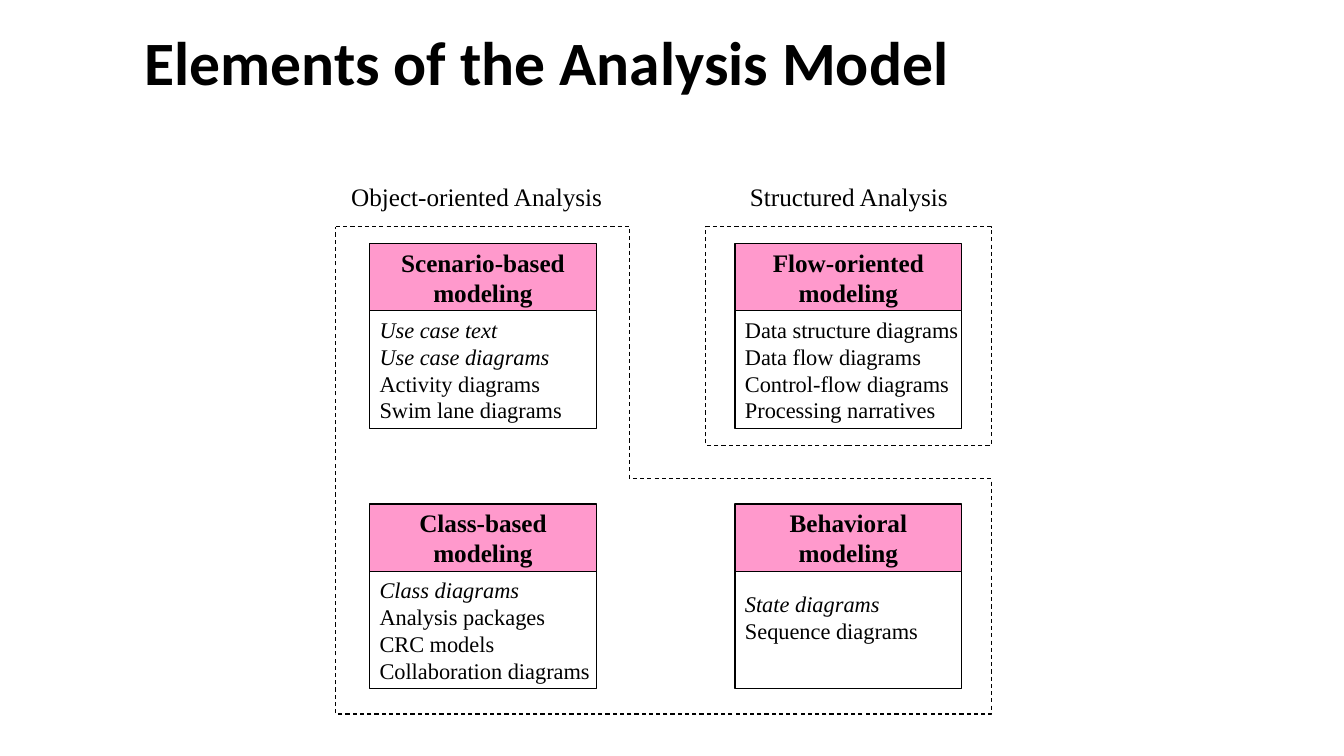
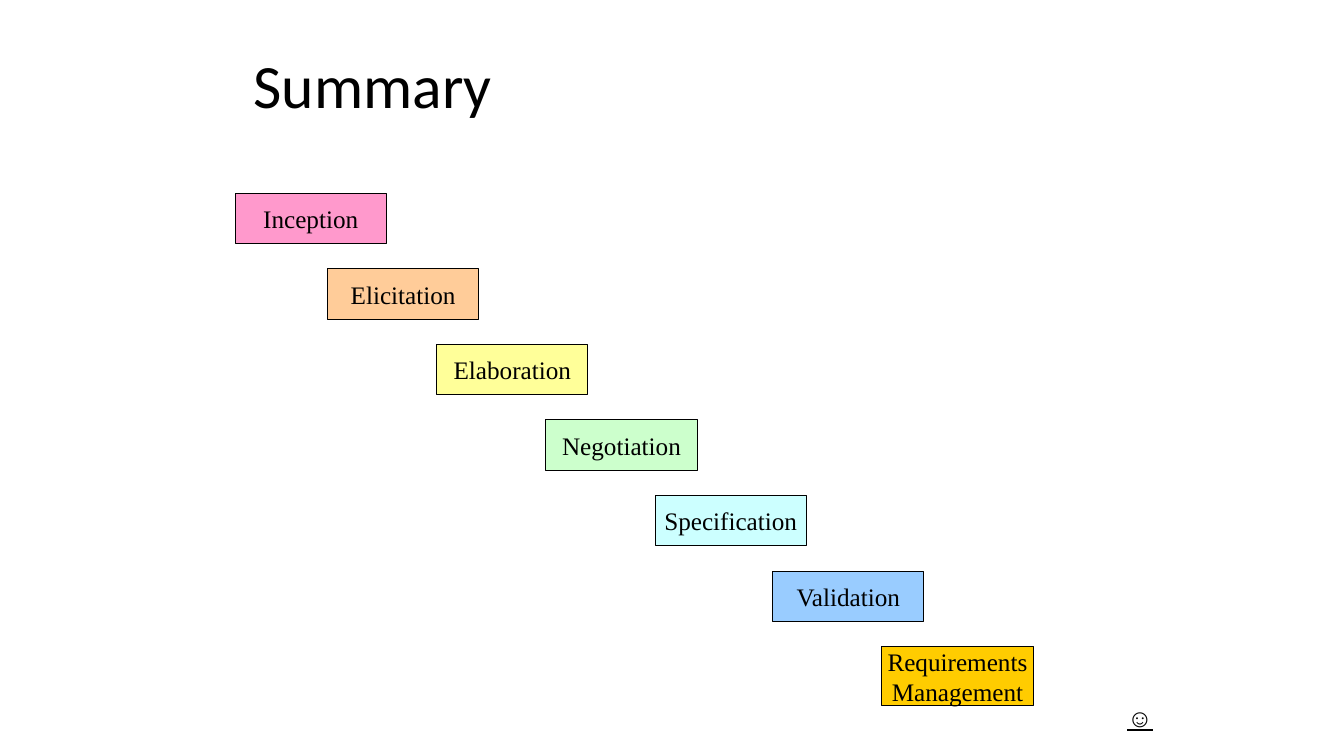
from pptx import Presentation
from pptx.dml.color import RGBColor
from pptx.enum.dml import MSO_LINE
from pptx.enum.shapes import MSO_SHAPE
from pptx.enum.text import MSO_ANCHOR, MSO_AUTO_SIZE, PP_ALIGN
from pptx.util import Pt

PX = 9525  # EMU per px, 96 px to the inch
TITLE_FONT = "Calibri"
TEXT_FONT = "Times New Roman"

BLACK = RGBColor(0x00, 0x00, 0x00)
WHITE = RGBColor(0xFF, 0xFF, 0xFF)
PINK = RGBColor(0xFF, 0x99, 0xCC)
PEACH = RGBColor(0xFF, 0xCC, 0x99)
YELLOW = RGBColor(0xFF, 0xFF, 0x99)
GREEN = RGBColor(0xCC, 0xFF, 0xCC)
CYAN = RGBColor(0xCC, 0xFF, 0xFF)
BLUE = RGBColor(0x99, 0xCC, 0xFF)
GOLD = RGBColor(0xFF, 0xCC, 0x00)

# left, top, heading, italic lines, plain lines
CARDS = [
    (352, 232, "Scenario-based", ["Use case text", "Use case diagrams"],
     ["Activity diagrams", "Swim lane diagrams"]),
    (352, 480, "Class-based", ["Class diagrams"],
     ["Analysis packages", "CRC models", "Collaboration diagrams"]),
    (700, 232, "Flow-oriented", [],
     ["Data structure diagrams", "Data flow diagrams",
      "Control-flow diagrams", "Processing narratives"]),
    (700, 480, "Behavioral", ["State diagrams"], ["Sequence diagrams"]),
]

# left, height, fill, lines
STEPS = [
    (224, 48, PINK, ["Inception"]),
    (312, 48, PEACH, ["Elicitation"]),
    (416, 48, YELLOW, ["Elaboration"]),
    (520, 48, GREEN, ["Negotiation"]),
    (624, 48, CYAN, ["Specification"]),
    (736, 48, BLUE, ["Validation"]),
    (840, 56, GOLD, ["Requirements", "Management"]),
]


def px(*lengths):
    return [n * PX for n in lengths]


def add_titled_slide(prs, text, box, bold=False):
    s = prs.slides.add_slide(prs.slide_layouts.get_by_name("Title Only"))
    title = s.shapes.title
    title.left, title.top, title.width, title.height = px(*box)
    title.text_frame.vertical_anchor = MSO_ANCHOR.MIDDLE
    p = title.text_frame.paragraphs[0]
    p.text = text
    p.alignment = PP_ALIGN.LEFT
    p.line_spacing = 0.9
    style_font(p.font, 44, TITLE_FONT)
    p.font.bold = bold
    return s


def style_font(font, size, name=TEXT_FONT):
    font.name = name
    font.size = Pt(size)
    font.color.rgb = BLACK


def write_lines(tf, lines, size=18, align=PP_ALIGN.CENTER):
    """Fill the frame with one unwrapped paragraph per line."""
    tf.word_wrap = False
    for i, line in enumerate(lines):
        p = tf.add_paragraph() if i else tf.paragraphs[0]
        p.text = line
        p.alignment = align
        style_font(p.font, size)
    return tf.paragraphs


def outline(sp, dash=None):
    sp.shadow.inherit = False
    sp.line.color.rgb = BLACK
    sp.line.width = Pt(0.75)
    if dash:
        sp.line.dash_style = dash
        sp.fill.background()


def add_box(shapes, box, fill):
    sp = shapes.add_shape(MSO_SHAPE.RECTANGLE, *px(*box))
    outline(sp)
    sp.fill.solid()
    sp.fill.fore_color.rgb = fill
    sp.text_frame.vertical_anchor = MSO_ANCHOR.MIDDLE
    return sp


def add_label(s, box, text):
    tf = s.shapes.add_textbox(*px(*box)).text_frame
    paragraphs = write_lines(tf, [text])
    tf.auto_size = MSO_AUTO_SIZE.SHAPE_TO_FIT_TEXT
    return paragraphs[0]


def add_card(s, left, top, heading, italic, plain):
    """Group a pink heading with the list of diagrams below it."""
    shapes = s.shapes.add_group_shape().shapes
    body = add_box(shapes, (left, top + 64, 216, 112), WHITE)
    lines = write_lines(body.text_frame, italic + plain, 16, PP_ALIGN.LEFT)
    for p in lines[:len(italic)]:
        p.font.italic = True
    if len(lines) < 4:
        body.text_frame.margin_bottom = 30 * PX  # lifts a short list
    head = add_box(shapes, (left, top, 216, 64), PINK)
    for p in write_lines(head.text_frame, [heading, "modeling"]):
        p.font.bold = True


def add_dashed_outline(s, points):
    builder = s.shapes.build_freeform(*points[0], scale=PX)
    builder.add_line_segments(points[1:], close=True)
    outline(builder.convert_to_shape(), MSO_LINE.DASH)


def build_analysis_model(prs):
    s = add_titled_slide(prs, "Elements of the Analysis Model",
                         (128, 2, 1008, 120), bold=True)
    add_dashed_outline(s, [(320, 216), (600, 216), (600, 456),
                           (944, 456), (944, 680), (320, 680)])
    structured = s.shapes.add_shape(MSO_SHAPE.RECTANGLE,
                                    *px(672, 216, 272, 208))
    outline(structured, MSO_LINE.DASH)
    for card in CARDS:
        add_card(s, *card)
    add_label(s, (324, 168, 260, 38), "Object-oriented Analysis")
    add_label(s, (704, 168, 209, 38), "Structured Analysis")


def build_summary(prs):
    s = add_titled_slide(prs, "Summary", (232, 24, 816, 120))
    for i, (left, height, fill, lines) in enumerate(STEPS):
        sp = add_box(s.shapes, (left, 184 + 72 * i, 144, height), fill)
        write_lines(sp.text_frame, lines)
    add_label(s, (1064, 664, 39, 38), "☺").font.underline = True


def main():
    prs = Presentation()
    prs.slide_width, prs.slide_height = px(1280, 720)
    build_analysis_model(prs)
    build_summary(prs)
    prs.save("out.pptx")


if __name__ == "__main__":
    main()
